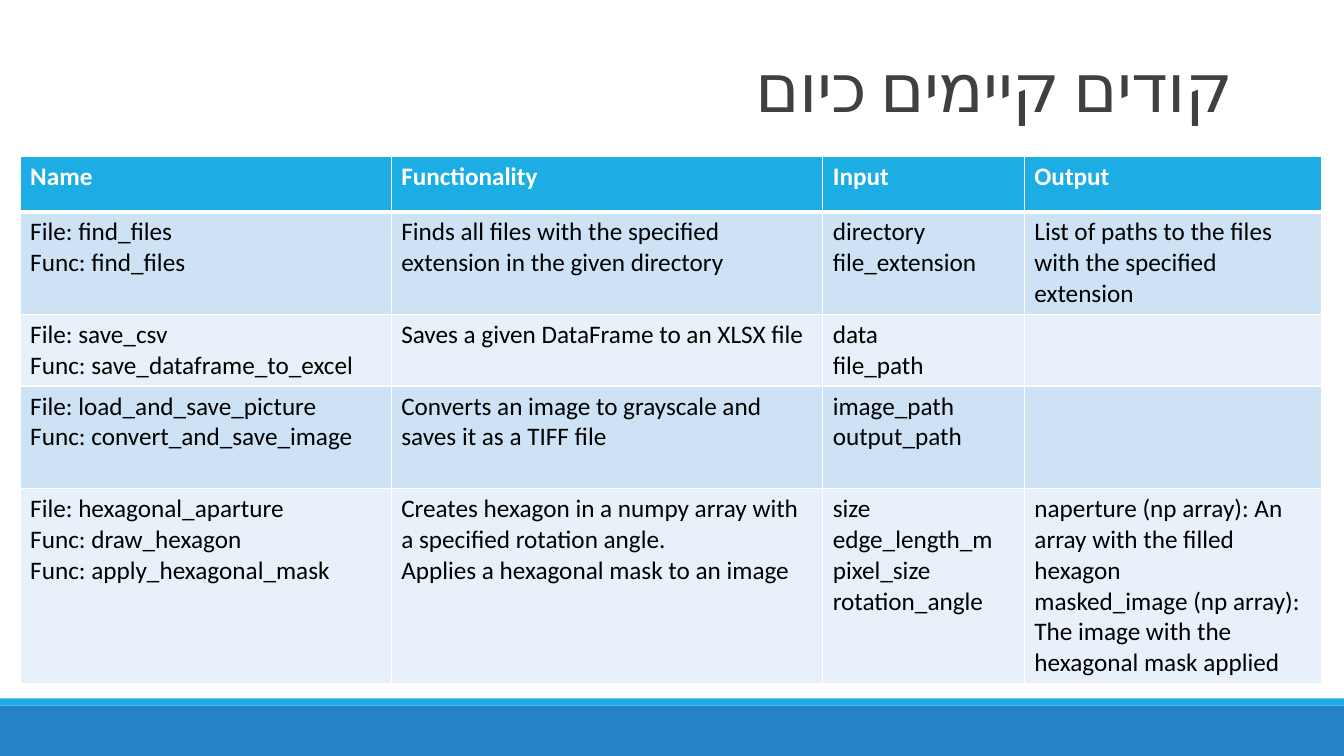
from dataclasses import dataclass

import pptx
import pptx.dml.color
import pptx.enum.shapes
import pptx.enum.text
import pptx.oxml.ns
import pptx.util
from lxml import etree

Inches = pptx.util.Inches
Pt = pptx.util.Pt
RGB = pptx.dml.color.RGBColor.from_string
qn = pptx.oxml.ns.qn


@dataclass(frozen=True)
class Theme:
    font: str = "Calibri"
    title_size: int = 48
    table_size: int = 18
    title: str = "404040"
    text: str = "000000"
    white: str = "FFFFFF"
    accent: str = "1CADE4"
    footer: str = "2683C6"
    bands: tuple = ("CDE3F5", "E8F1FA")


THEME = Theme()
SLIDE_W, SLIDE_H = 13.33, 7.5
TITLE = "קודים קיימים כיום"
COLUMN_WIDTHS = (3.68, 4.28, 2, 2.95)
ROW_HEIGHTS = (0.55, 1.02, 0.71, 1.02, 1.93)
HEADER = ("Name", "Functionality", "Input", "Output")
CODES = (
    ("File: find_files\nFunc: find_files",
     "Finds all files with the specified extension in the given directory",
     "directory\nfile_extension",
     "List of paths to the files with the specified extension"),
    ("File: save_csv\nFunc: save_dataframe_to_excel",
     "Saves a given DataFrame to an XLSX file",
     "data\nfile_path",
     ""),
    ("File: load_and_save_picture\nFunc: convert_and_save_image",
     "Converts an image to grayscale and saves it as a TIFF file",
     "image_path\noutput_path",
     ""),
    ("File: hexagonal_aparture\nFunc: draw_hexagon\nFunc: apply_hexagonal_mask",
     "Creates hexagon in a numpy array with a specified rotation angle.\n"
     "Applies a hexagonal mask to an image",
     "size edge_length_m\npixel_size\nrotation_angle",
     "naperture (np array): An array with the filled hexagon\n"
     "masked_image (np array): The image with the hexagonal mask applied"),
)


def set_font(font, size, color, bold=False):
    for name, value in {"name": THEME.font, "size": Pt(size), "bold": bold}.items():
        setattr(font, name, value)
    font.color.rgb = RGB(color)


def add_footer(slide, left, top, width, height, stripe=0.07):
    """Draw the bottom bar with a thin accent stripe on its upper edge."""
    bars = ((top, height, THEME.footer), (top - stripe, stripe, THEME.accent))
    for y, h, color in bars:
        sp = slide.shapes.add_shape(
            pptx.enum.shapes.MSO_SHAPE.RECTANGLE,
            Inches(left), Inches(y), Inches(width), Inches(h))
        sp.shadow.inherit = False
        sp.fill.solid()
        sp.fill.fore_color.rgb = RGB(color)
        sp.line.fill.background()


def add_title(slide, left, top, width, height):
    sp = slide.shapes.add_textbox(Inches(left), Inches(top), Inches(width), Inches(height))
    tf = sp.text_frame
    tf.word_wrap = True
    tf.vertical_anchor = pptx.enum.text.MSO_ANCHOR.BOTTOM
    p = tf.paragraphs[0]
    p.alignment = pptx.enum.text.PP_ALIGN.RIGHT
    p.line_spacing = 0.85
    p._p.get_or_add_pPr().set("rtl", "1")
    r = p.add_run()
    r.text = TITLE
    set_font(r.font, THEME.title_size, THEME.title)
    r_pr = r._r.get_or_add_rPr()
    r_pr.set("lang", "he-IL")
    r_pr.set("spc", "-50")
    etree.SubElement(r_pr, qn("a:cs"), typeface=THEME.font)


def set_borders(cell, top, bottom):
    tc_pr = cell._tc.get_or_add_tcPr()
    for side, width in {"L": 1, "R": 1, "T": top, "B": bottom}.items():
        ln = etree.SubElement(tc_pr, qn(f"a:ln{side}"), w=str(Pt(width)))
        fill = etree.SubElement(ln, qn("a:solidFill"))
        etree.SubElement(fill, qn("a:srgbClr"), val=THEME.white)


def fill_cell(cell, text, row):
    header = row == 0
    set_borders(cell, top=3 if row == 1 else 1, bottom=3 if header else 1)
    cell.fill.solid()
    cell.fill.fore_color.rgb = RGB(THEME.accent if header else THEME.bands[(row - 1) % 2])
    cell.text = text
    for p in cell.text_frame.paragraphs:
        set_font(p.font, THEME.table_size, THEME.white if header else THEME.text, header)
        for r in p.runs:
            set_font(r.font, THEME.table_size, THEME.white if header else THEME.text, header)


def add_code_table(slide, left, top):
    rows = (HEADER, *CODES)
    table = slide.shapes.add_table(
        len(rows), len(HEADER), Inches(left), Inches(top),
        Inches(sum(COLUMN_WIDTHS)), Inches(sum(ROW_HEIGHTS))).table
    for column, width in zip(table.columns, COLUMN_WIDTHS):
        column.width = Inches(width)
    for i, (height, texts) in enumerate(zip(ROW_HEIGHTS, rows)):
        table.rows[i].height = Inches(height)
        for j, text in enumerate(texts):
            fill_cell(table.cell(i, j), text, i)


def main():
    prs = pptx.Presentation()
    prs.slide_width, prs.slide_height = Inches(SLIDE_W), Inches(SLIDE_H)
    slide = prs.slides.add_slide(prs.slide_layouts[6])
    add_footer(slide, 0, 7, SLIDE_W, 0.5)
    add_title(slide, 1.33, -0.29, 11, 1.59)
    add_code_table(slide, 0.2, 1.55)
    prs.save("out.pptx")


if __name__ == "__main__":
    main()
